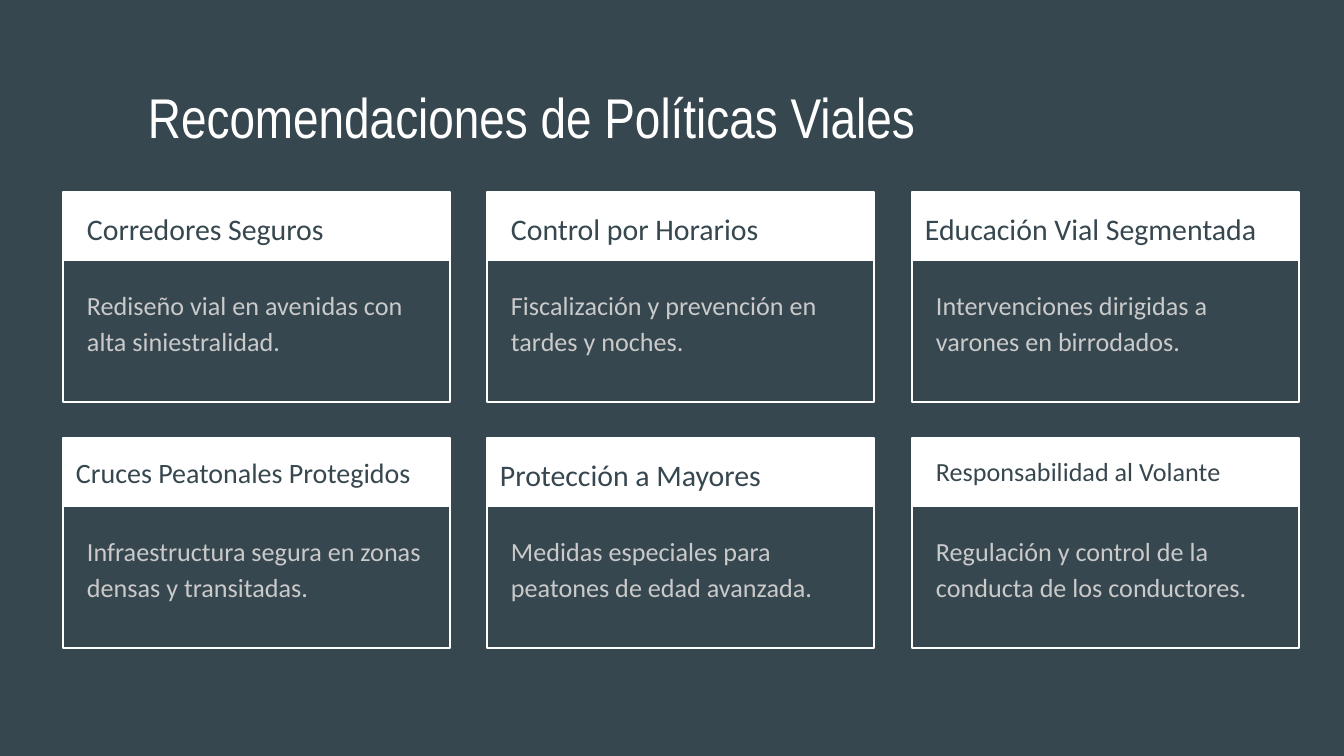
from dataclasses import dataclass

from pptx import Presentation
from pptx.dml.color import RGBColor
from pptx.enum.shapes import MSO_SHAPE
from pptx.enum.text import MSO_ANCHOR, MSO_AUTO_SIZE, PP_ALIGN
from pptx.util import Emu, Pt

EMU_PER_PX = 914400 / 134.4


def px(length):
    return Emu(round(length * EMU_PER_PX))


@dataclass(frozen=True)
class Theme:
    background: RGBColor = RGBColor(0x37, 0x47, 0x4F)
    white: RGBColor = RGBColor(0xFF, 0xFF, 0xFF)
    muted: RGBColor = RGBColor(0xCA, 0xCA, 0xCA)
    title_font: str = "Arial Narrow"
    body_font: str = "Calibri"
    title_size: int = 30
    heading_size: int = 16
    body_size: int = 14
    border: float = 0.75
    line_spacing: float = 1.15
    inset: int = 13


class SlideBuilder:
    def __init__(self, slide, theme):
        self.slide = slide
        self.theme = theme
        slide.background.fill.solid()
        slide.background.fill.fore_color.rgb = theme.background

    def set_text(self, shape, text, font, size, color):
        """Fill a shape with one top-aligned, left-aligned paragraph."""
        frame = shape.text_frame
        frame.text = text
        frame.word_wrap = True
        frame.auto_size = MSO_AUTO_SIZE.NONE
        frame.vertical_anchor = MSO_ANCHOR.TOP
        frame.margin_left = frame.margin_right = px(self.theme.inset)
        frame.margin_top = frame.margin_bottom = px(self.theme.inset)
        paragraph = frame.paragraphs[0]
        paragraph.alignment = PP_ALIGN.LEFT
        run_font = paragraph.runs[0].font
        run_font.name = font
        run_font.size = Pt(size)
        run_font.color.rgb = color
        return paragraph

    def title(self, text, left, top, width, height, indent):
        shape = self.slide.shapes.title
        shape.left, shape.top = px(left), px(top)
        shape.width, shape.height = px(width), px(height)
        theme = self.theme
        self.set_text(shape, text, theme.title_font, theme.title_size, theme.white)
        shape.text_frame.margin_left = px(theme.inset + indent)
        shape.text_frame.margin_top = px(17)

    def text(self, text, left, top, width, height, size, color):
        shape = self.slide.shapes.add_textbox(px(left), px(top), px(width), px(height))
        paragraph = self.set_text(shape, text, self.theme.body_font, size, color)
        paragraph.line_spacing = self.theme.line_spacing
        return paragraph

    def rectangle(self, shapes, left, top, width, height, filled):
        shape = shapes.add_shape(
            MSO_SHAPE.RECTANGLE, px(left), px(top), px(width), px(height))
        shape.shadow.inherit = False
        if filled:
            shape.fill.solid()
            shape.fill.fore_color.rgb = self.theme.white
            shape.line.fill.background()
        else:
            shape.fill.background()
            shape.line.color.rgb = self.theme.white
            shape.line.width = Pt(self.theme.border)

    def card(self, left, top, heading, body, heading_indent, heading_size):
        theme = self.theme
        # Header band and frame
        group = self.slide.shapes.add_group_shape()
        self.rectangle(group.shapes, left, top, CARD_WIDTH, HEADER_HEIGHT, True)
        self.rectangle(group.shapes, left, top, CARD_WIDTH, CARD_HEIGHT, False)
        # Heading and description
        self.text(heading, left + heading_indent, top,
                  CARD_WIDTH - 2 * heading_indent, 67, heading_size, theme.background)
        paragraph = self.text(body, left + 11, top + 80, 365, 106,
                              theme.body_size, theme.muted)
        paragraph.space_after = Pt(16)


CARD_WIDTH, CARD_HEIGHT, HEADER_HEIGHT = 387, 210, 69
COLUMNS = (63, 487, 912)
ROWS = (192, 438)

# Heading, description, heading indent in px, heading size in points
CARDS = (
    ("Corredores Seguros", "Rediseño vial en avenidas con alta siniestralidad.",
     11, Theme.heading_size),
    ("Control por Horarios", "Fiscalización y prevención en tardes y noches.",
     11, Theme.heading_size),
    ("Educación Vial Segmentada", "Intervenciones dirigidas a varones en birrodados.",
     0, Theme.heading_size),
    ("Cruces Peatonales Protegidos",
     "Infraestructura segura en zonas densas y transitadas.", 0, 15),
    ("Protección a Mayores", "Medidas especiales para peatones de edad avanzada.",
     0, Theme.heading_size),
    ("Responsabilidad al Volante",
     "Regulación y control de la conducta de los conductores.", 11, 14),
)


def main():
    presentation = Presentation()
    presentation.slide_width, presentation.slide_height = px(1344), px(756)
    title_only = presentation.slide_layouts[5]
    builder = SlideBuilder(presentation.slides.add_slide(title_only), Theme())

    # Title
    builder.title("Recomendaciones de Políticas Viales", 46, 66, 1253, 85, indent=89)

    # Grid of recommendation cards
    for index, card in enumerate(CARDS):
        row, column = divmod(index, len(COLUMNS))
        builder.card(COLUMNS[column], ROWS[row], *card)

    presentation.save("out.pptx")


if __name__ == "__main__":
    main()
